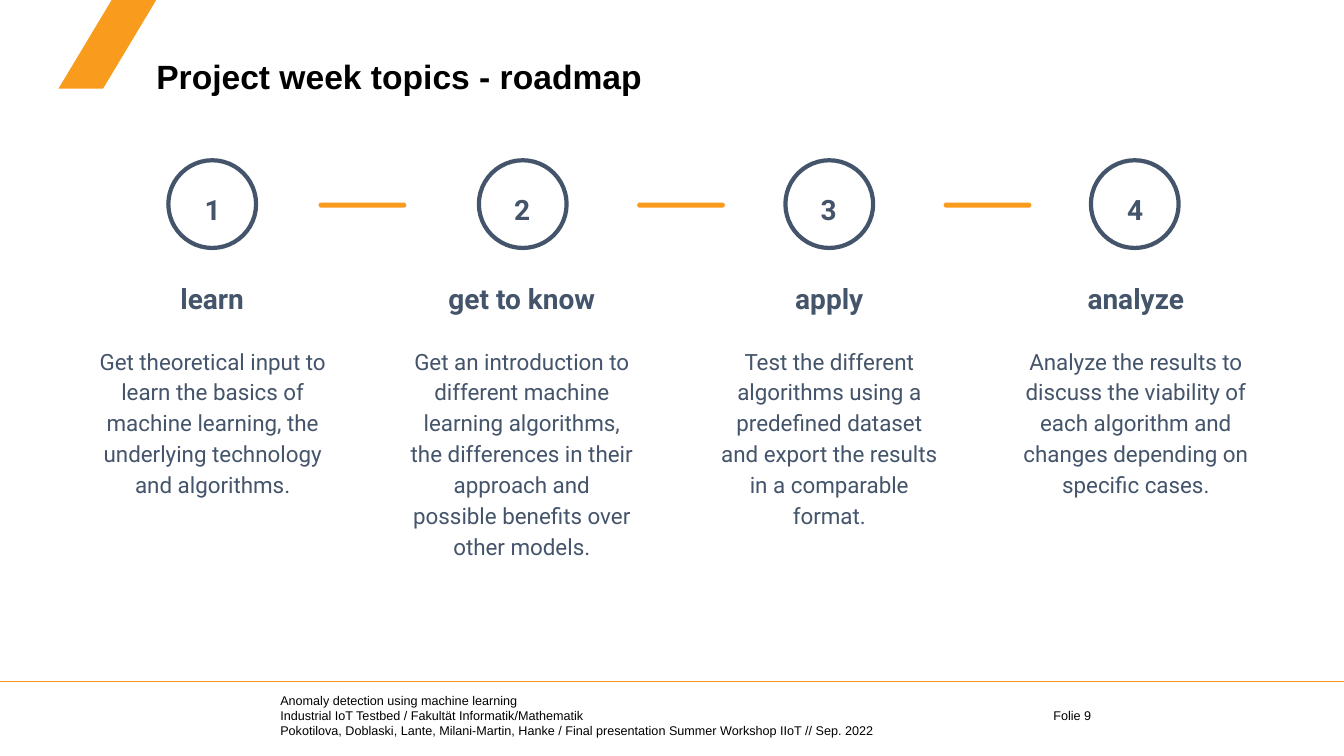
from dataclasses import dataclass

from lxml.etree import SubElement
from pptx import Presentation
from pptx.dml.color import RGBColor
from pptx.enum.shapes import MSO_CONNECTOR, MSO_SHAPE
from pptx.enum.text import MSO_ANCHOR, MSO_AUTO_SIZE, PP_ALIGN
from pptx.oxml.ns import qn
from pptx.util import Inches, Pt

# Content
TITLE = "Project week topics - roadmap"
STEPS = [  # centre, heading, body, body width
    (2.11, "learn",
     "Get theoretical input to learn the basics of machine learning, "
     "the underlying technology and algorithms.", 2.56),
    (5.18, "get to know",
     "Get an introduction to different machine learning algorithms, the "
     "differences in their approach and possible benefits over other models.", 2.49),
    (8.22, "apply",
     "Test the different algorithms using a predefined dataset "
     "and export the results in a comparable format.", 2.49),
    (11.26, "analyze",
     "Analyze the results to discuss the viability of each algorithm "
     "and changes depending on specific cases.", 2.49),
]
DASH_LEFTS = [3.16, 6.32, 9.36]
FOOTER = [
    "Anomaly detection using machine learning",
    "Industrial IoT Testbed / Fakultät Informatik/Mathematik",
    "Pokotilova, Doblaski, Lante, Milani-Martin, Hanke / "
    "Final presentation Summer Workshop IIoT // Sep. 2022",
]
PAGE = "Folie 9"


@dataclass(frozen=True)
class Theme:
    accent: RGBColor = RGBColor(0xF9, 0x9B, 0x1C)
    slate: RGBColor = RGBColor(0x44, 0x54, 0x6A)
    black: RGBColor = RGBColor(0, 0, 0)
    base_font: str = "Arial"
    step_font: str = "Roboto"
    title_size: int = 24
    heading_size: int = 20
    body_size: int = 16
    footer_size: int = 9


THEME = Theme()
CIRCLE = 0.87
STEP_INSET = 0.13


def box(left, top, width, height):
    return [Inches(round(v, 2)) for v in (left, top, width, height)]


def style(paragraph, font, size, color, bold=False):
    for run in paragraph.runs:
        run.font.name = font
        run.font.size = Pt(size)
        run.font.bold = bold
        run.font.color.rgb = color


def set_insets(frame, x, y):
    frame.margin_left = frame.margin_right = Inches(x)
    frame.margin_top = frame.margin_bottom = Inches(y)


def add_solid(shapes, kind, place, adjustment):
    solid = shapes.add_shape(kind, *box(*place))
    solid.adjustments[0] = adjustment
    solid.shadow.inherit = False
    solid.fill.solid()
    solid.fill.fore_color.rgb = THEME.accent
    solid.line.fill.background()


def add_footer_text(shapes, place, lines, inset_x, inset_y):
    frame = shapes.add_textbox(*box(*place)).text_frame
    frame.word_wrap = True
    set_insets(frame, inset_x, inset_y)
    frame.text = "\n".join(lines)
    for paragraph in frame.paragraphs:
        style(paragraph, THEME.base_font, THEME.footer_size, THEME.black)


def add_step_text(shapes, place, text, size, bold=False, anchor=MSO_ANCHOR.TOP):
    frame = shapes.add_textbox(*box(*place)).text_frame
    frame.word_wrap = True
    frame.vertical_anchor = anchor
    set_insets(frame, STEP_INSET, STEP_INSET)
    frame.text = text
    paragraph = frame.paragraphs[0]
    paragraph.alignment = PP_ALIGN.CENTER
    paragraph.line_spacing = 1.15
    style(paragraph, THEME.step_font, size, THEME.slate, bold)


def add_step(slide, number, center, heading, body, body_width):
    shapes = slide.shapes.add_group_shape().shapes
    circle = shapes.add_shape(
        MSO_SHAPE.OVAL, *box(center - CIRCLE / 2, 1.59, CIRCLE, CIRCLE))
    circle.shadow.inherit = False
    circle.fill.background()
    circle.line.color.rgb = THEME.slate
    circle.line.width = Pt(3)
    add_step_text(shapes, (center - 0.32, 1.73, 0.64, 0.47), str(number),
                  THEME.heading_size, bold=True)
    add_step_text(shapes, (center - 1.245, 2.61, 2.49, 0.65), heading,
                  THEME.heading_size, bold=True, anchor=MSO_ANCHOR.BOTTOM)
    add_step_text(shapes, (center - body_width / 2, 3.28, body_width, 1.08), body,
                  THEME.body_size)


def main():
    prs = Presentation()
    prs.slide_width, prs.slide_height = Inches(13.33), Inches(7.5)
    slide = prs.slides.add_slide(prs.slide_layouts[5])
    shapes = slide.shapes

    # Footer and slide frame
    add_footer_text(shapes, (2.78, 6.87, 6.71, 0.45), FOOTER, 0, 0)
    add_footer_text(shapes, (10.35, 6.97, 0.8, 0.25), [PAGE], 0.1, 0.05)
    add_solid(shapes, MSO_SHAPE.PARALLELOGRAM, (0.58, 0, 0.97, 0.88), 0.6)
    rule = shapes.add_connector(
        MSO_CONNECTOR.STRAIGHT, 0, Inches(6.76), prs.slide_width, Inches(6.76))
    rule.line.color.rgb = THEME.accent
    rule.line.width = Pt(1)
    SubElement(rule._element.spPr, qn("a:effectLst"))

    # Title
    title = shapes.title
    title.left, title.top, title.width, title.height = box(1.55, 0.27, 11.17, 0.69)
    frame = title.text_frame
    frame.text = TITLE
    frame.auto_size = MSO_AUTO_SIZE.NONE
    frame.vertical_anchor = MSO_ANCHOR.BOTTOM
    set_insets(frame, 0, 0)
    frame.paragraphs[0].alignment = PP_ALIGN.LEFT
    frame.paragraphs[0].line_spacing = 0.9
    style(frame.paragraphs[0], THEME.base_font, THEME.title_size, THEME.black, True)

    # Roadmap steps and the dashes between them
    for number, step in enumerate(STEPS, 1):
        add_step(slide, number, *step)
    for left in DASH_LEFTS:
        add_solid(shapes, MSO_SHAPE.ROUNDED_RECTANGLE, (left, 2.01, 0.87, 0.05), 0.5)

    prs.save("out.pptx")


if __name__ == "__main__":
    main()
